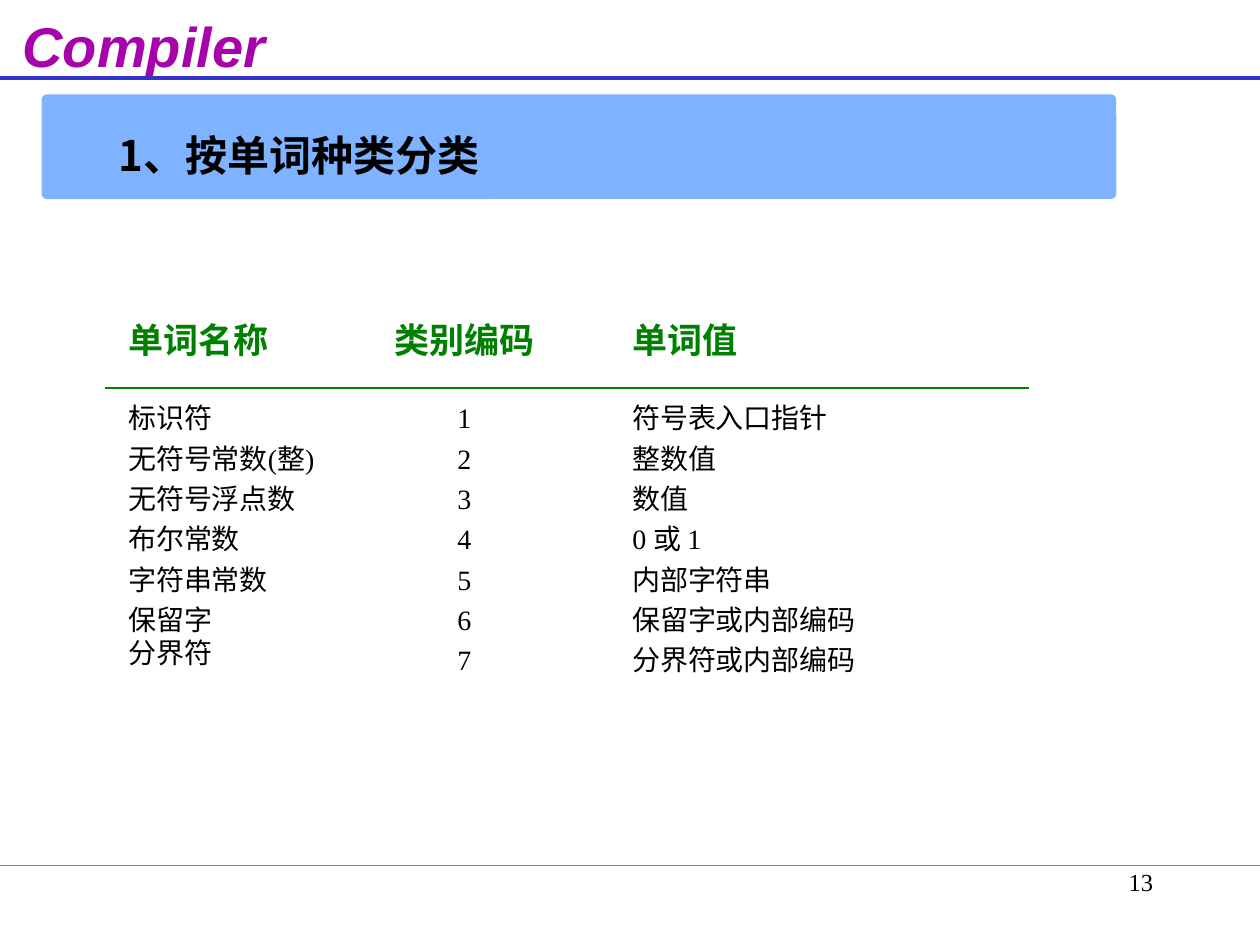
from dataclasses import dataclass

import pptx
import pptx.util
import pptx.dml.color
import pptx.enum.shapes
import pptx.enum.text
import pptx.oxml.ns
from lxml import etree

Inches = pptx.util.Inches
Align = pptx.enum.text.PP_ALIGN
Anchor = pptx.enum.text.MSO_ANCHOR


@dataclass(frozen=True)
class Theme:
    latin: str = "Times New Roman"
    chinese: str = "Noto Sans CJK SC"
    brand_font: str = "Arial"
    ink: str = "000000"
    brand: str = "A603AB"
    top_rule: str = "3333CC"
    bottom_rule: str = "00CC99"
    accent: str = "008000"
    banner: str = "0066FF"
    brand_size: int = 32
    banner_size: int = 24
    heading_size: int = 20
    body_size: int = 16
    number_size: int = 14


THEME = Theme()
COLUMNS = [
    # left, width, alignment, spacing of the last row, heading, entries
    (0.09, 2, Align.LEFT, 1.0, "单词名称",
     ["标识符", "无符号常数(整)", "无符号浮点数", "布尔常数", "字符串常数", "保留字", "分界符"]),
    (2.09, 1.53, Align.CENTER, 1.2, "类别编码", [str(code) for code in range(1, 8)]),
    (4.09, 2.2, Align.LEFT, 1.2, "单词值",
     ["符号表入口指针", "整数值", "数值", "0 或 1", "内部字符串", "保留字或内部编码", "分界符或内部编码"]),
]


def rgb(color):
    return pptx.dml.color.RGBColor.from_string(color)


def add_element(parent, tag, **attributes):
    return etree.SubElement(parent, pptx.oxml.ns.qn(tag), attributes)


def format_paragraph(paragraph, size, color, font=THEME.latin, bold=False, italic=False):
    for run in paragraph.runs:
        run.font.name = font
        run.font.size = pptx.util.Pt(size)
        run.font.bold = bold
        run.font.italic = italic
        run.font.color.rgb = rgb(color)
        add_element(run.font._element, "a:ea", typeface=THEME.chinese)


def add_text_box(slide, left, top, width, height, text):
    box = slide.shapes.add_textbox(left, top, width, height)
    box.text_frame.word_wrap = True
    box.text_frame.text = text
    return box.text_frame


def add_rule(slide, left, top, width, color, weight):
    rule = slide.shapes.add_connector(
        pptx.enum.shapes.MSO_CONNECTOR.STRAIGHT, left, top, left + width, top)
    rule.line.color.rgb = rgb(color)
    rule.line.width = pptx.util.Pt(weight)
    add_element(rule._element.spPr, "a:effectLst")


def add_header(slide, left, top, width):
    frame = add_text_box(slide, left + Inches(0.08), top + Inches(0.04),
                         Inches(2.3), Inches(0.62), "Compiler")
    format_paragraph(frame.paragraphs[0], THEME.brand_size, THEME.brand,
                     THEME.brand_font, bold=True, italic=True)
    add_rule(slide, left, top + Inches(0.62), width, THEME.top_rule, 2.25)


def add_footer(slide, left, top, width, number):
    add_rule(slide, left, top, width, THEME.bottom_rule, 0.75)
    frame = add_text_box(slide, left + Inches(7.17), top - Inches(0.04),
                         Inches(2.08), Inches(0.5), number)
    frame.paragraphs[0].alignment = Align.RIGHT
    format_paragraph(frame.paragraphs[0], THEME.number_size, THEME.ink)


def add_banner(slide, left, top, width, height, text):
    banner = slide.shapes.add_shape(
        pptx.enum.shapes.MSO_SHAPE.ROUNDED_RECTANGLE, left, top, width, height)
    banner.adjustments[0] = 0.05
    banner.shadow.inherit = False
    banner.line.fill.background()
    banner.fill.solid()
    banner.fill.fore_color.rgb = rgb(THEME.banner)
    color = banner._element.spPr.find(".//" + pptx.oxml.ns.qn("a:srgbClr"))
    add_element(color, "a:alpha", val="50000")
    frame = banner.text_frame
    frame.word_wrap = True
    frame.vertical_anchor = Anchor.MIDDLE
    frame.text = text
    paragraph = frame.paragraphs[0]
    paragraph.alignment = Align.LEFT
    paragraph.line_spacing = 1.3
    paragraph._p.get_or_add_pPr().set("marL", str(Inches(0.5)))
    format_paragraph(paragraph, THEME.banner_size, THEME.ink, THEME.chinese, bold=True)


def add_word_classes(slide, left, top, width, height):
    """Three text columns whose headings stand above one shared rule."""
    for offset, column_width, alignment, last_spacing, heading, entries in COLUMNS:
        frame = add_text_box(slide, left + Inches(offset), top, Inches(column_width),
                             height, "\n".join([heading] + entries))
        first, *rows = frame.paragraphs
        first.alignment = alignment
        format_paragraph(first, THEME.heading_size, THEME.accent, bold=True)
        for row in rows:
            row.alignment = alignment
            row.line_spacing = 1.2
            format_paragraph(row, THEME.body_size, THEME.ink)
        rows[0].space_before = pptx.util.Pt(THEME.body_size * 1.2)
        rows[-1].line_spacing = last_spacing
    add_rule(slide, left, top + Inches(0.6), width, THEME.accent, 1.5)


def main():
    presentation = pptx.Presentation()
    presentation.slide_width = Inches(10)
    presentation.slide_height = Inches(7.5)
    slide = presentation.slides.add_slide(presentation.slide_layouts[6])
    full_width = presentation.slide_width
    add_header(slide, Inches(0), Inches(0), full_width)
    add_footer(slide, Inches(0), Inches(6.87), full_width, "13")
    add_word_classes(slide, Inches(0.83), Inches(2.48), Inches(7.34), Inches(2.94))
    add_banner(slide, Inches(0.33), Inches(0.75), Inches(8.53), Inches(0.83),
               "1、按单词种类分类")
    presentation.save("out.pptx")


if __name__ == "__main__":
    main()
